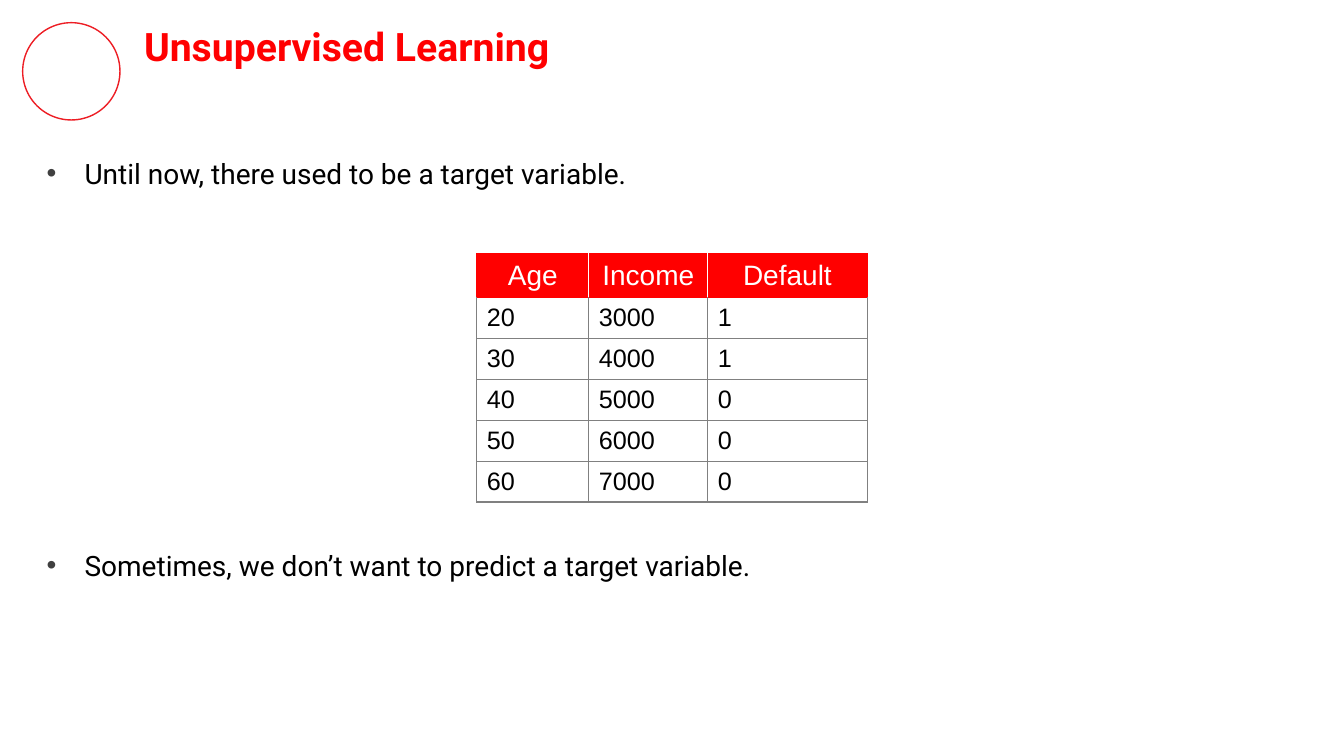
from lxml import etree
from pptx import Presentation
from pptx import util as u
from pptx.dml.color import RGBColor
from pptx.enum import shapes, text
from pptx.oxml import ns

RED, RING_RED, WHITE, BLACK = "FF0000", "ED1D24", "FFFFFF", "000000"
TITLE_RED, GREY, BULLET_GREY = "FF0001", "808080", "404040"


def color(value):
    return RGBColor.from_string(value)


class SlideBuilder:
    heading_font = "Roboto"
    table_font = "Arial"
    inset = u.Pt(7.2)

    def __init__(self, slide):
        self.slide = slide

    def style(self, paragraph, font, size, hex_color, bold=False):
        paragraph.font.name = font
        paragraph.font.size = u.Pt(size)
        paragraph.font.bold = bold
        paragraph.font.color.rgb = color(hex_color)

    def ring(self, left, top, diameter, hex_color, width):
        shape = self.slide.shapes.add_shape(
            shapes.MSO_SHAPE.OVAL, u.Pt(left), u.Pt(top), u.Pt(diameter), u.Pt(diameter))
        shape.shadow.inherit = False
        shape.fill.background()
        shape.line.color.rgb = color(hex_color)
        shape.line.width = u.Pt(width)

    def text_box(self, words, left, top, width, height):
        shape = self.slide.shapes.add_textbox(u.Pt(left), u.Pt(top), u.Pt(width), u.Pt(height))
        frame = shape.text_frame
        frame.word_wrap = True
        frame.auto_size = text.MSO_AUTO_SIZE.SHAPE_TO_FIT_TEXT
        frame.margin_left = frame.margin_right = self.inset
        frame.margin_top = frame.margin_bottom = self.inset
        paragraph = frame.paragraphs[0]
        paragraph.text = words
        return paragraph

    def title(self, words, *box):
        paragraph = self.text_box(words, *box)
        self.style(paragraph, self.heading_font, 28, TITLE_RED, bold=True)

    def bullet(self, words, *box):
        paragraph = self.text_box(words, *box)
        paragraph.space_after = u.Pt(12)
        properties = paragraph._p.get_or_add_pPr()
        properties.set("marL", str(u.Pt(36)))
        properties.set("indent", str(-u.Pt(27)))
        bullet_color = etree.SubElement(properties, ns.qn("a:buClr"))
        etree.SubElement(bullet_color, ns.qn("a:srgbClr"), val=BULLET_GREY)
        etree.SubElement(properties, ns.qn("a:buFont"), typeface=self.table_font)
        etree.SubElement(properties, ns.qn("a:buChar"), char="•")
        self.style(paragraph, self.heading_font, 20, BLACK)

    def borders(self, cell, left, right, top, bottom):
        properties = cell._tc.get_or_add_tcPr()
        for side, hex_color in zip("LRTB", (left, right, top, bottom)):
            line = etree.SubElement(properties, ns.qn(f"a:ln{side}"), w=str(u.Pt(1)))
            fill = etree.SubElement(line, ns.qn("a:solidFill"))
            etree.SubElement(fill, ns.qn("a:srgbClr"), val=hex_color)

    def table(self, rows, left, top, widths, row_height):
        last = len(widths) - 1
        table = self.slide.shapes.add_table(
            len(rows), len(widths), u.Pt(left), u.Pt(top),
            u.Pt(sum(widths)), u.Pt(row_height * len(rows))).table
        table.horz_banding = False
        for column, width in zip(table.columns, widths):
            column.width = u.Pt(width)
        for i, values in enumerate(rows):
            header = i == 0
            table.rows[i].height = u.Pt(row_height)
            for j, value in enumerate(values):
                cell = table.cell(i, j)
                if header:
                    self.borders(cell, RED if j == 0 else WHITE,
                                 RED if j == last else WHITE, RED, RED)
                else:
                    self.borders(cell, GREY, GREY, RED if i == 1 else GREY, GREY)
                cell.fill.solid()
                cell.fill.fore_color.rgb = color(RED if header else WHITE)
                cell.vertical_anchor = text.MSO_ANCHOR.MIDDLE
                cell.text = str(value)
                paragraph = cell.text_frame.paragraphs[0]
                paragraph.alignment = text.PP_ALIGN.CENTER if header else text.PP_ALIGN.LEFT
                self.style(paragraph, self.table_font, 20 if header else 18,
                           WHITE if header else BLACK)


def main():
    presentation = Presentation()
    presentation.slide_width, presentation.slide_height = u.Pt(960), u.Pt(540)
    builder = SlideBuilder(presentation.slides.add_slide(presentation.slide_layouts[6]))

    # Heading
    builder.ring(16.2, 16.2, 69.5, RING_RED, 1)
    builder.title("Unsupervised Learning", 95.8, 8.6, 805, 48.2)

    # Statements above and below the table
    builder.bullet("Until now, there used to be a target variable.", 17.3, 104.4, 530, 51.1)
    builder.bullet("Sometimes, we don’t want to predict a target variable.",
                   17.3, 384.5, 530, 51.1)

    # Example data with a target variable
    records = [(20, 3000, 1), (30, 4000, 1), (40, 5000, 0), (50, 6000, 0), (60, 7000, 0)]
    builder.table([("Age", "Income", "Default"), *records],
                  340.6, 181.4, (80, 85, 113.8), 29.2)

    presentation.save("out.pptx")


if __name__ == "__main__":
    main()
